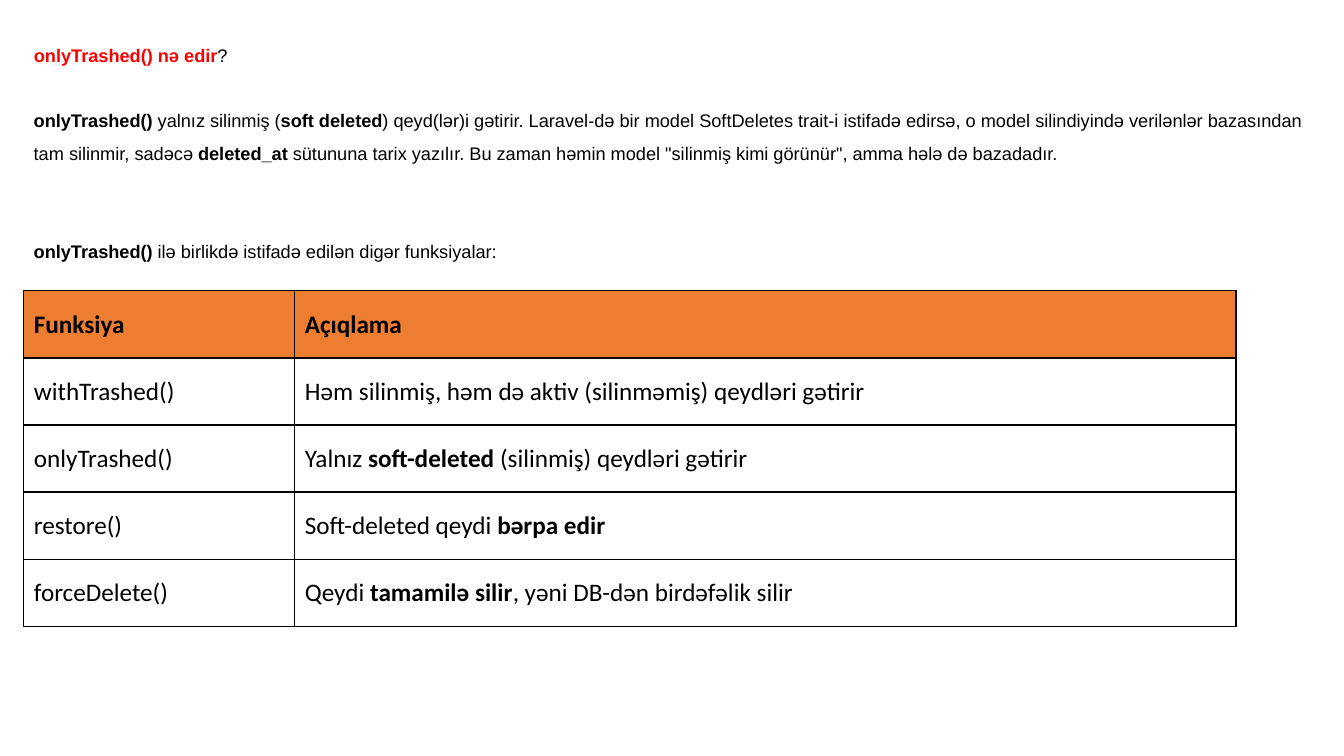
from pptx import Presentation
from pptx.dml.color import RGBColor
from pptx.enum.text import MSO_ANCHOR as Anchor, MSO_AUTO_SIZE as AutoSize, PP_ALIGN as Align
from pptx.oxml.ns import qn
from pptx.util import Cm, Pt
from lxml.etree import SubElement

BLACK, RED, ORANGE = "000000", "FF0000", "ED7D31"
TEXT_SIZE, LINE_SPACING = 13, 1.5
BLANK_LINE = 23.3  # points taken by one line of text at this spacing

EXPLANATION = [
    "**onlyTrashed()** yalnız silinmiş (**soft deleted**) qeyd(lər)i gətirir. Laravel-də bir model "
    "SoftDeletes trait-i istifadə edirsə, o model silindiyində verilənlər bazasından tam silinmir, "
    "sadəcə **deleted_at** sütununa tarix yazılır. Bu zaman həmin model \"silinmiş kimi görünür\", "
    "amma hələ də bazadadır.",
    "**onlyTrashed()** ilə birlikdə istifadə edilən digər funksiyalar:",
]
FUNCTIONS = [
    ("**Funksiya**", "**Açıqlama**"),
    ("withTrashed()", "Həm silinmiş, həm də aktiv (silinməmiş) qeydləri gətirir"),
    ("onlyTrashed()", "Yalnız **soft-deleted** (silinmiş) qeydləri gətirir"),
    ("restore()", "Soft-deleted qeydi **bərpa edir**"),
    ("forceDelete()", "Qeydi **tamamilə silir**, yəni DB-dən birdəfəlik silir"),
]


def color(hex_code):
    return RGBColor.from_string(hex_code)


def write(paragraph, marked_text, font_name, size):
    """Fill a paragraph; text between double asterisks becomes bold."""
    paragraph.alignment = Align.LEFT
    paragraph.font.name = font_name
    paragraph.font.size = Pt(size)
    paragraph.font.color.rgb = color(BLACK)
    for index, part in enumerate(marked_text.split("**")):
        if part:
            run = paragraph.add_run()
            run.text = part
            run.font.bold = index % 2 == 1


def prepare_frame(frame):
    frame.word_wrap = True
    frame.auto_size = AutoSize.NONE
    frame.vertical_anchor = Anchor.TOP


def add_question(slide, left, top, width, height):
    title = slide.shapes.title
    title.left, title.top, title.width, title.height = left, top, width, height
    prepare_frame(title.text_frame)
    question = title.text_frame.paragraphs[0]
    question.line_spacing = LINE_SPACING
    write(question, "**onlyTrashed() nə edir**?", "Arial", TEXT_SIZE)
    question.runs[0].font.color.rgb = color(RED)


def add_explanation(slide, left, top, width, height):
    frame = slide.shapes.add_textbox(left, top, width, height).text_frame
    prepare_frame(frame)
    for index, text in enumerate(EXPLANATION):
        paragraph = frame.add_paragraph() if index else frame.paragraphs[0]
        paragraph.line_spacing = LINE_SPACING
        if index:
            paragraph.space_before = Pt(2 * BLANK_LINE)
        write(paragraph, text, "Arial", TEXT_SIZE)


def add_borders(cell):
    properties = cell._tc.get_or_add_tcPr()
    for position, side in enumerate(("a:lnL", "a:lnR", "a:lnT", "a:lnB")):
        line = SubElement(properties, qn(side), w=str(Pt(1)))
        fill = SubElement(line, qn("a:solidFill"))
        SubElement(fill, qn("a:srgbClr"), val=BLACK)
        properties.remove(line)
        properties.insert(position, line)


def add_function_table(slide, left, top, column_widths, row_height):
    table = slide.shapes.add_table(
        len(FUNCTIONS), len(column_widths), left, top,
        sum(column_widths), row_height * len(FUNCTIONS)).table
    table.horz_banding = False
    for column, width in zip(table.columns, column_widths):
        column.width = width
    for row_index, texts in enumerate(FUNCTIONS):
        table.rows[row_index].height = row_height
        for column_index, text in enumerate(texts):
            cell = table.cell(row_index, column_index)
            cell.vertical_anchor = Anchor.MIDDLE
            if row_index == 0:
                cell.fill.solid()
                cell.fill.fore_color.rgb = color(ORANGE)
            else:
                cell.fill.background()
            add_borders(cell)
            write(cell.text_frame.paragraphs[0], text, "Calibri", 18)


def main():
    presentation = Presentation()
    presentation.slide_width, presentation.slide_height = Cm(33.87), Cm(19.05)
    slide = presentation.slides.add_slide(presentation.slide_layouts.get_by_name("Title Only"))
    left, width = Cm(0.6), Cm(32.66)
    add_question(slide, left, Cm(0.71), width, Cm(1.07))
    add_explanation(slide, left, Cm(2.36), width, Cm(4.34))
    add_function_table(slide, left, Cm(7.33), (Cm(6.83), Cm(23.72)), Cm(1.69))
    presentation.save("out.pptx")


if __name__ == "__main__":
    main()
